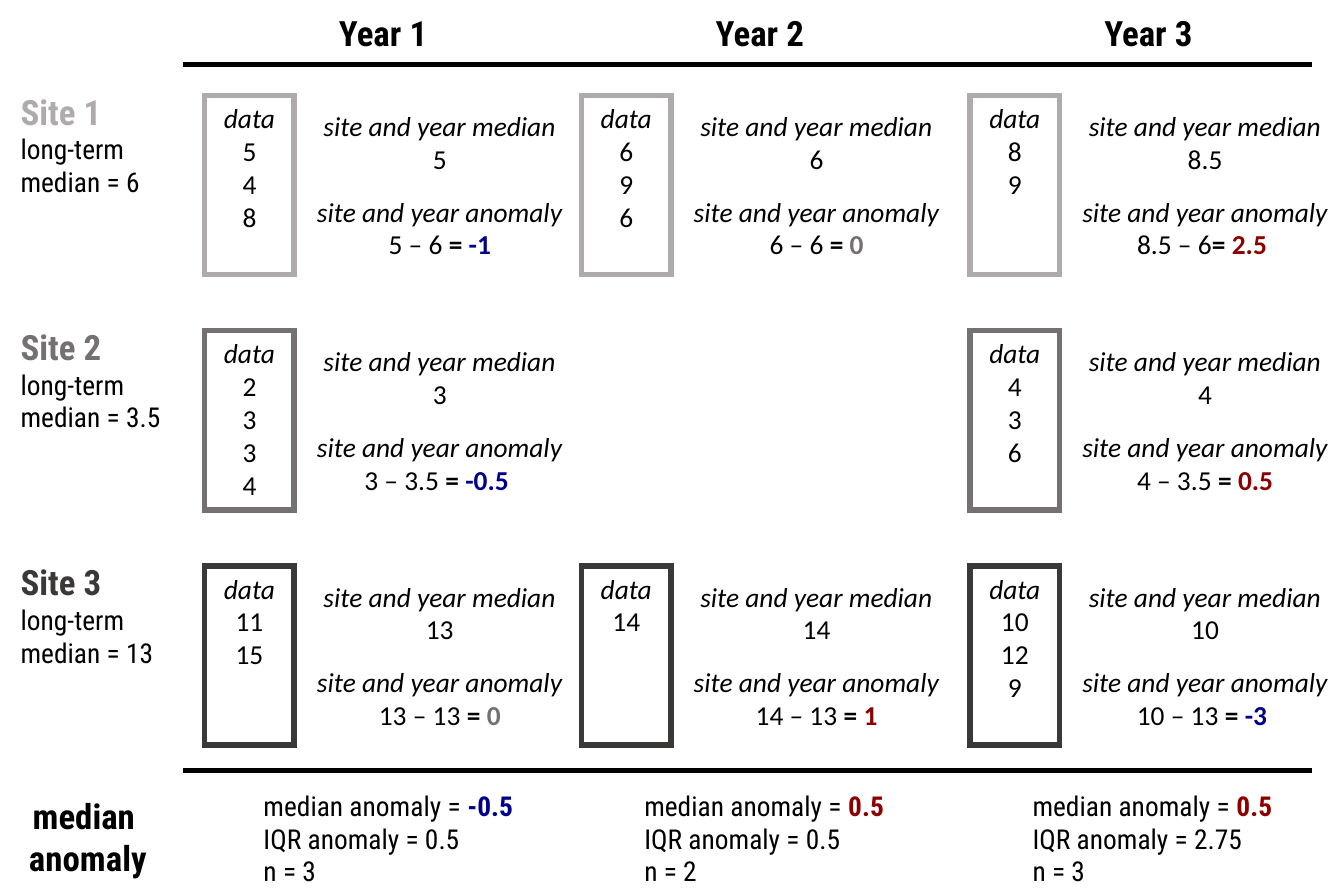
from copy import deepcopy
from dataclasses import dataclass

from pptx import Presentation
from pptx.dml.color import RGBColor
from pptx.enum.shapes import MSO_CONNECTOR, MSO_SHAPE
from pptx.enum.text import MSO_AUTO_SIZE, PP_ALIGN
from pptx.oxml.ns import qn
from pptx.util import Pt


@dataclass(frozen=True)
class Theme:
    heading_font: str = "Roboto Condensed"
    body_font: str = "Calibri"
    heading_size: float = 14
    body_size: float = 11
    black: str = "000000"
    negative: str = "00008B"
    zero: str = "767171"
    positive: str = "8B0000"


THEME = Theme()


@dataclass(frozen=True)
class Span:
    text: str
    size: float = THEME.body_size
    color: str = THEME.black
    bold: bool = False
    italic: bool = False


@dataclass(frozen=True)
class Frame:
    left: float
    top: float
    width: float
    height: float


@dataclass(frozen=True)
class Site:
    name: str
    median: str
    color: str
    label_width: float


@dataclass(frozen=True)
class Year:
    name: str
    left: float
    summary_left: float
    summary_width: float
    anomaly: str
    iqr: str
    count: str


@dataclass(frozen=True)
class Sample:
    site: int
    year: int
    data: str
    median: str
    difference: str
    anomaly: str


SITES = [
    Site("Site 1", "6", "AFABAB", 62.6),
    Site("Site 2", "3.5", "767171", 71.3),
    Site("Site 3", "13", "3B3838", 68.4),
]
YEARS = [
    Year("Year 1", 82.2, 98.8, 117, "-0.5", "0.5", "3"),
    Year("Year 2", 233.6, 251.8, 113, "0.5", "0.5", "2"),
    Year("Year 3", 389.7, 407.8, 113, "0.5", "2.75", "3"),
]
SAMPLES = [
    Sample(0, 0, "5 4 8", "5", "5 – 6 ", "-1"),
    Sample(0, 1, "6 9 6", "6", "6 – 6 ", "0"),
    Sample(0, 2, "8 9", "8.5", "8.5 – 6", "2.5 "),
    Sample(1, 0, "2 3 3 4", "3", "3 – 3.5 ", "-0.5 "),
    Sample(1, 2, "4 3 6", "4", "4 – 3.5 ", "0.5"),
    Sample(2, 0, "11 15", "13", "13 – 13 ", "0"),
    Sample(2, 1, "14", "14", "14 – 13 ", "1"),
    Sample(2, 2, "10 12 9", "10", "10 – 13 ", "-3 "),
]
FIRST_ROW, ROW_STEP = 38.4, 94.5


def row_top(site: int) -> float:
    return FIRST_ROW + site * ROW_STEP


def heading(text: str, color: str = THEME.black) -> Span:
    return Span(text, THEME.heading_size, color, bold=True)


def signed(value: str) -> Span:
    """Bold anomaly, coloured by its sign."""
    number = float(value)
    color = THEME.negative if number < 0 else THEME.positive if number > 0 else THEME.zero
    return Span(value, color=color, bold=True)


def append_element(parent, tag: str, **attributes: str) -> None:
    parent.append(parent.makeelement(qn(tag), attributes))


def add_text(shapes, frame: Frame, lines: list[list[Span]], font: str,
             align: PP_ALIGN = PP_ALIGN.LEFT) -> None:
    """Add an unwrapped text box with one paragraph for each list of spans."""
    box = shapes.add_textbox(Pt(frame.left), Pt(frame.top), Pt(frame.width), Pt(frame.height))
    text_frame = box.text_frame
    text_frame.word_wrap = False
    text_frame.auto_size = MSO_AUTO_SIZE.SHAPE_TO_FIT_TEXT
    for index, spans in enumerate(lines):
        para = text_frame.add_paragraph() if index else text_frame.paragraphs[0]
        para.alignment = align
        if len(spans) == 1:
            para.text = spans[0].text
        else:
            for span in spans:
                para.add_run().text = span.text
        # A single span may hold line breaks, which split it into several runs.
        styles = spans * len(para.runs) if len(spans) == 1 else spans
        for run, span in zip(para.runs, styles):
            run.font.name = font
            run.font.size = Pt(span.size)
            run.font.bold = span.bold
            run.font.italic = span.italic
            run.font.color.rgb = RGBColor.from_string(span.color)
        for line_break in para._p.xpath("a:br"):
            line_break.append(deepcopy(para.runs[0]._r.rPr))


def add_rule(shapes, top: float) -> None:
    rule = shapes.add_connector(MSO_CONNECTOR.STRAIGHT, Pt(73.5), Pt(top), Pt(527), Pt(top))
    rule.line.color.rgb = RGBColor.from_string(THEME.black)
    rule.line.width = Pt(2)
    append_element(rule._element.spPr, "a:effectLst")


def add_site_label(shapes, site: Site, top: float) -> None:
    lines = [[heading(site.name, site.color)], [Span(f"long-term\nmedian = {site.median}")]]
    add_text(shapes, Frame(1.2, top - 5.5, site.label_width, 51), lines, THEME.heading_font)


def add_year_heading(shapes, year: Year) -> None:
    add_text(shapes, Frame(year.left + 46.9, 1.2, 51, 24.2), [[heading(year.name)]],
             THEME.heading_font)


def add_year_summary(shapes, year: Year) -> None:
    lines = [
        [Span("median anomaly = "), signed(year.anomaly)],
        [Span(f"IQR anomaly = {year.iqr}")],
        [Span(f"n = {year.count}")],
    ]
    add_text(shapes, Frame(year.summary_left, 313.4, year.summary_width, 47.5), lines,
             THEME.heading_font)


def add_outline(shapes, frame: Frame, color: str) -> None:
    """Add an unfilled rectangle with square corners."""
    outline = shapes.add_shape(MSO_SHAPE.RECTANGLE, Pt(frame.left), Pt(frame.top),
                               Pt(frame.width), Pt(frame.height))
    outline.shadow.inherit = False
    outline.fill.background()
    outline.line.color.rgb = RGBColor.from_string(color)
    outline.line.width = Pt(2.25)
    append_element(outline._element.spPr.find(qn("a:ln")), "a:miter", lim="800000")


def add_sample(shapes, sample: Sample) -> None:
    left, top = YEARS[sample.year].left, row_top(sample.site)
    values = [[Span(value)] for value in sample.data.split()]
    add_text(shapes, Frame(left + 0.4, top - 1.2, 35.3, 60.5),
             [[Span("data", italic=True)], *values], THEME.body_font, PP_ALIGN.CENTER)
    add_outline(shapes, Frame(left, top, 36, 72), SITES[sample.site].color)

    results = shapes.add_group_shape().shapes
    median = [[Span("site and year median", italic=True)], [Span(sample.median)]]
    anomaly = [
        [Span("site and year anomaly", italic=True)],
        [Span(sample.difference), Span("= ", bold=True), signed(sample.anomaly)],
    ]
    add_text(results, Frame(left + 40.5, top + 2, 108, 33.9), median,
             THEME.body_font, PP_ALIGN.CENTER)
    add_text(results, Frame(left + 37.6, top + 36.3, 113.8, 33.9), anomaly,
             THEME.body_font, PP_ALIGN.CENTER)


def main() -> None:
    deck = Presentation()
    deck.slide_width, deck.slide_height = Pt(540), Pt(360)
    shapes = deck.slides.add_slide(deck.slide_layouts[6]).shapes
    for index, site in enumerate(SITES):
        add_site_label(shapes, site, row_top(index))
    for year in YEARS:
        add_year_heading(shapes, year)
        add_year_summary(shapes, year)
    for top in (26, 309.6):
        add_rule(shapes, top)
    add_text(shapes, Frame(4.3, 315.7, 62, 41), [[heading("median ")], [heading("anomaly")]],
             THEME.heading_font, PP_ALIGN.CENTER)
    for sample in SAMPLES:
        add_sample(shapes, sample)
    deck.save("out.pptx")


if __name__ == "__main__":
    main()
